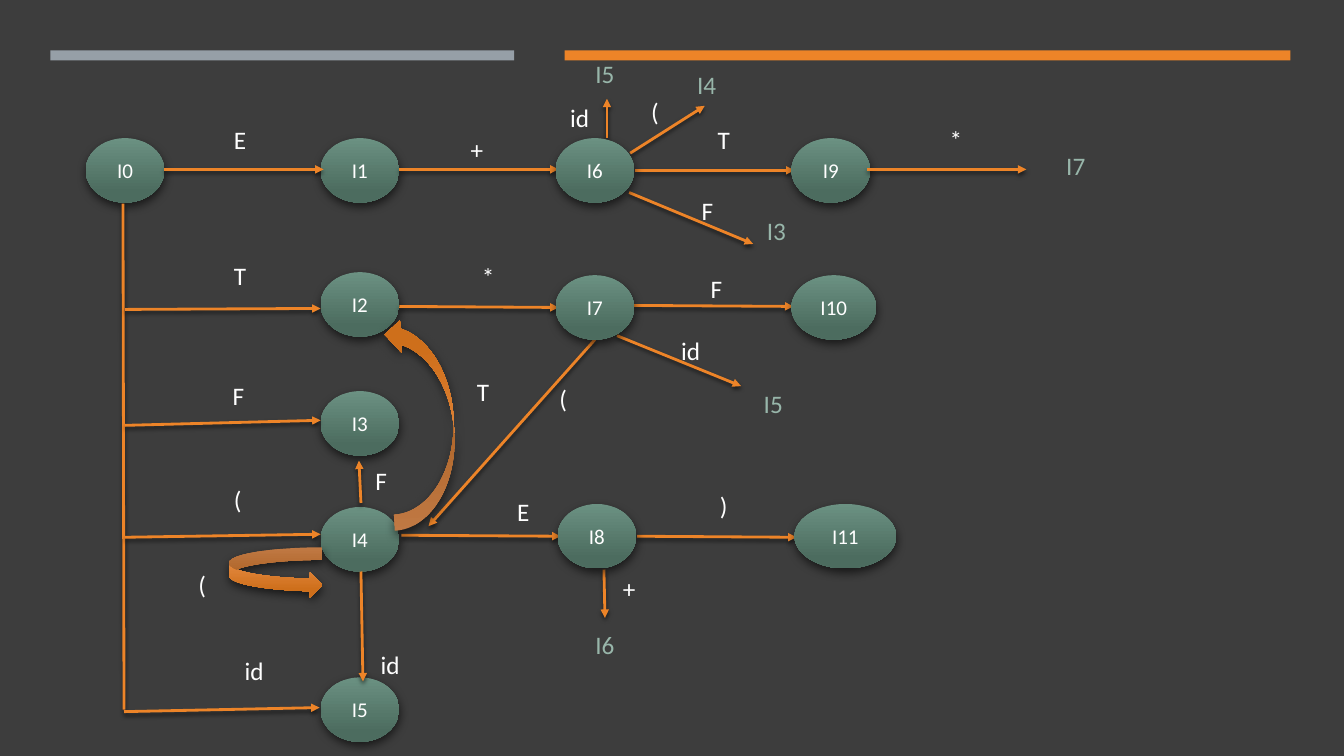
from lxml import etree
from pptx import Presentation
from pptx.dml.color import RGBColor
from pptx.enum import shapes, text
from pptx.oxml import ns
from pptx.util import Inches, Pt

BACKDROP = RGBColor(0x3D, 0x3D, 0x3D)
GREY = RGBColor(0x96, 0x9F, 0xA7)
ORANGE = RGBColor(0xED, 0x84, 0x28)
WHITE = RGBColor(0xFF, 0xFF, 0xFF)
SAGE = RGBColor(0x98, 0xB6, 0xAA)
GREENS = RGBColor(0x6B, 0x91, 0x82), RGBColor(0x4C, 0x6C, 0x5F)
AMBERS = RGBColor(0xF0, 0x98, 0x56), RGBColor(0xCE, 0x6F, 0x1B)

HEADER_BARS = [(0.5, 4.6, GREY), (5.6, 7.2, ORANGE)]

STATE_WIDTH, STATE_HEIGHT = 0.78, 0.64
WIDE_STATES = {"I10": 0.84, "I11": 1.01}
FIRST_STATES = [
    ("I0", 0.85, 1.37), ("I1", 3.18, 1.37), ("I2", 3.18, 2.7),
    ("I3", 3.18, 3.88), ("I4", 3.18, 5.03), ("I5", 3.18, 6.72),
]
LATER_STATES = [
    ("I6", 5.51, 1.37), ("I7", 5.51, 2.73), ("I8", 5.53, 5),
    ("I9", 7.85, 1.37), ("I10", 7.85, 2.73), ("I11", 7.88, 5),
]

TRUNK = (1.22, 2.02, 1.23, 7.04)
TRANSITIONS = [
    (1.63, 1.68, 3.21, 1.68), (1.24, 3.07, 3.18, 3.06),
    (1.24, 4.22, 3.18, 4.17), (1.24, 5.33, 3.18, 5.3),
    (1.23, 7.06, 3.17, 7.02), (3.96, 1.68, 5.54, 1.68),
    (3.96, 3.04, 5.54, 3.05), (3.98, 5.31, 5.56, 5.32),
    (3.58, 5.67, 3.6, 6.76), (3.58, 4.99, 3.56, 4.57),
    (6.24, 1.91, 7.47, 2.42), (6.3, 1.69, 7.88, 1.69),
    (6.25, 1.52, 6.99, 1.05), (6.02, 1.37, 6.02, 0.98),
    (6.29, 3.03, 7.87, 3.04), (5.9, 3.37, 4.25, 5.22),
    (6.12, 3.33, 7.35, 3.83), (6.32, 5.32, 7.9, 5.33),
    (5.99, 5.65, 6, 6.13),
]
LATE_TRANSITIONS = [(8.6, 1.68, 10.18, 1.68)]
CURVED_ARROWS = [(3.86, 3.14, 0.64, 2.11, 177), (2.27, 5.43, 0.93, 0.5, 0)]

SYMBOLS = [
    ("E", 2.22, 1.18), ("T", 2.22, 2.53), ("F", 2.21, 3.72),
    ("(", 2.22, 4.76), ("+", 4.57, 1.28), ("*", 4.68, 2.54),
    ("E", 5.03, 4.87), ("T", 7.02, 1.18), ("(", 6.36, 0.91),
    ("F", 6.86, 1.89), ("F", 6.95, 2.66), ("(", 5.45, 3.75),
    (")", 7.04, 4.82), ("+", 6.08, 5.64), ("*", 9.32, 1.18),
    ("(", 1.87, 5.6),
]
CENTRED_SYMBOLS = [
    ("id", 2.22, 6.45), ("id", 3.57, 6.39), ("T", 4.49, 3.68),
    ("F", 3.48, 4.57), ("id", 5.45, 0.97), ("id", 6.55, 3.28),
]
TARGETS = [
    ("I4", 6.71, 0.64), ("I3", 7.4, 2.09), ("I5", 5.7, 0.53),
    ("I5", 7.37, 3.8), ("I7", 10.37, 1.44), ("I6", 5.7, 6.19),
]
LABEL_GROUPS = [
    (SYMBOLS, 0.41, text.PP_ALIGN.LEFT, WHITE),
    (CENTRED_SYMBOLS, 0.6, text.PP_ALIGN.CENTER, WHITE),
    (TARGETS, 0.6, text.PP_ALIGN.CENTER, SAGE),
]

STATE_FRAME = {"margin_left": 0, "margin_right": 0, "margin_top": 0,
               "margin_bottom": 0, "word_wrap": True,
               "vertical_anchor": text.MSO_ANCHOR.MIDDLE}
LABEL_FRAME = {"word_wrap": True,
               "auto_size": text.MSO_AUTO_SIZE.SHAPE_TO_FIT_TEXT}

deck = Presentation()
deck.slide_width, deck.slide_height = Inches(13.33), Inches(7.5)
slide = deck.slides.add_slide(deck.slide_layouts[6])
slide.background.fill.solid()
slide.background.fill.fore_color.rgb = BACKDROP


def add_shadow(effects, opacity, blur, distance, angle):
    shadow = etree.SubElement(
        effects, ns.qn("a:outerShdw"), blurRad=str(Pt(blur)),
        dist=str(Pt(distance)), dir=str(angle * 60000), rotWithShape="0")
    colour = etree.SubElement(shadow, ns.qn("a:srgbClr"), val="000000")
    etree.SubElement(colour, ns.qn("a:alpha"), val=str(opacity * 1000))


def add_solid(preset, *place):
    solid = slide.shapes.add_shape(preset, *map(Inches, place))
    solid.line.fill.background()
    solid.shadow.inherit = False
    return solid


def add_raised(preset, shades, *place):
    raised = add_solid(preset, *place)
    raised.fill.gradient()
    raised.fill.gradient_angle = 270
    for stop, shade, position in zip(raised.fill.gradient_stops, shades, (0, 0.84)):
        stop.color.rgb = shade
        stop.position = position
    add_shadow(raised.element.spPr.find(ns.qn("a:effectLst")), 60, 7, 3, 84)
    return raised


def write(frame, words, frame_format, align, size, colour):
    for key, value in frame_format.items():
        setattr(frame, key, value)
    line = frame.paragraphs[0]
    line.alignment = align
    run = line.add_run()
    run.text = words
    for key, value in {"name": "Calibri", "size": Pt(size)}.items():
        setattr(run.font, key, value)
    run.font.color.rgb = colour


def add_states(states):
    for name, left, top in states:
        width = WIDE_STATES.get(name, STATE_WIDTH)
        state = add_raised(shapes.MSO_SHAPE.OVAL, GREENS,
                           left, top, width, STATE_HEIGHT)
        write(state.text_frame, name, STATE_FRAME,
              text.PP_ALIGN.CENTER, 15, WHITE)


def add_edge(ends, arrow=True):
    edge = slide.shapes.add_connector(
        shapes.MSO_CONNECTOR.STRAIGHT, *map(Inches, ends))
    edge.line.color.rgb = ORANGE
    edge.line.width = Pt(2)
    if arrow:
        etree.SubElement(edge.line._get_or_add_ln(), ns.qn("a:tailEnd"),
                         type="triangle")
    effects = etree.SubElement(edge.element.spPr, ns.qn("a:effectLst"))
    add_shadow(effects, 55, 3, 2, 90)


for left, width, colour in HEADER_BARS:
    bar = add_solid(shapes.MSO_SHAPE.RECTANGLE, left, 0.5, width, 0.1)
    bar.fill.solid()
    bar.fill.fore_color.rgb = colour

add_states(FIRST_STATES)
add_edge(TRUNK, arrow=False)
for ends in TRANSITIONS:
    add_edge(ends)
add_states(LATER_STATES)
for ends in LATE_TRANSITIONS:
    add_edge(ends)

for *place, turn in CURVED_ARROWS:
    add_raised(shapes.MSO_SHAPE.CURVED_RIGHT_ARROW, AMBERS, *place).rotation = turn

for labels, width, align, colour in LABEL_GROUPS:
    for words, left, top in labels:
        label = slide.shapes.add_textbox(*map(Inches, (left, top, width, 0.4)))
        write(label.text_frame, words, LABEL_FRAME, align, 18, colour)

deck.save("out.pptx")
